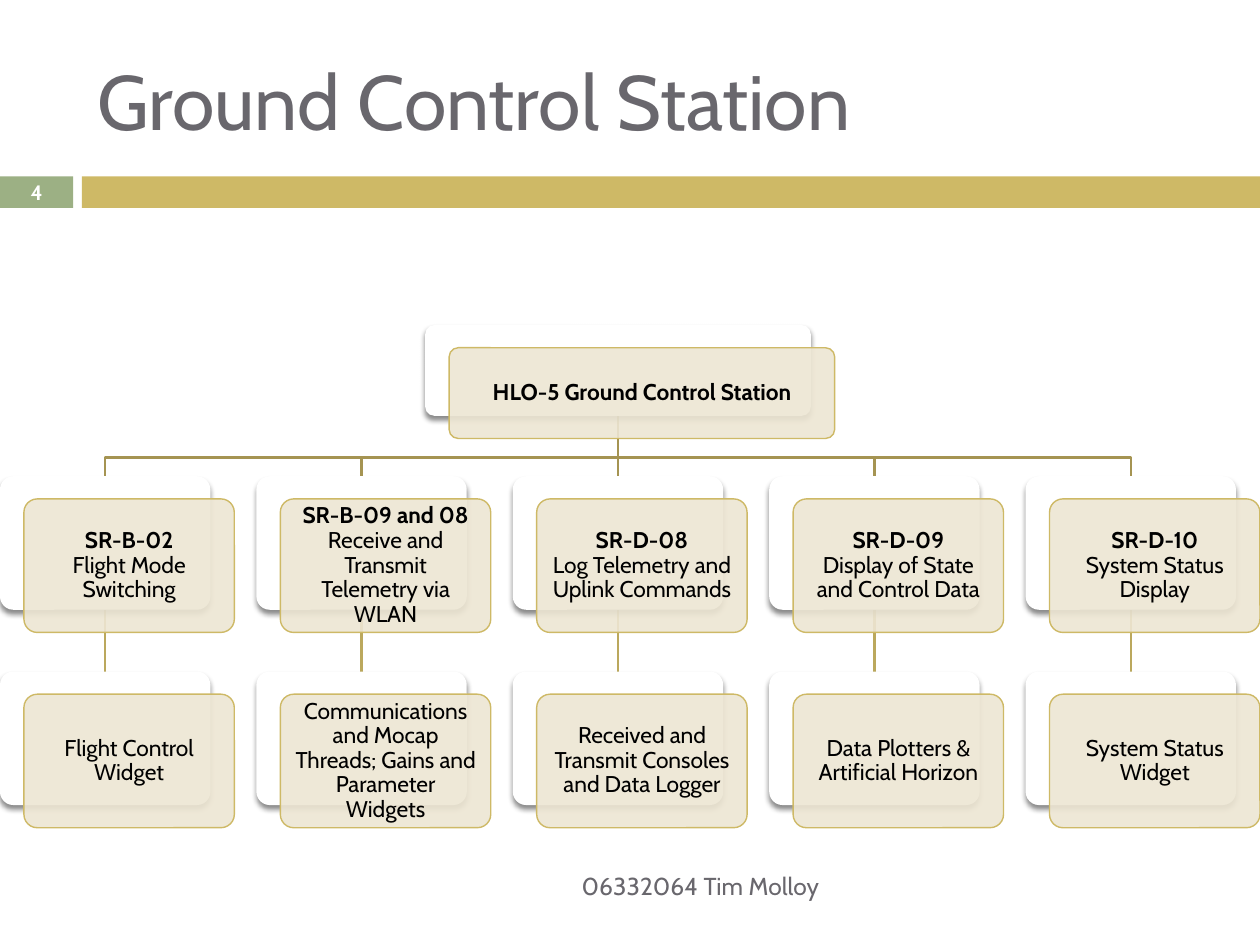
from lxml import etree
from pptx import Presentation
from pptx.dml.color import RGBColor
from pptx.enum.shapes import MSO_CONNECTOR, MSO_SHAPE
from pptx.enum.text import MSO_ANCHOR, PP_ALIGN
from pptx.oxml.ns import qn
from pptx.util import Inches, Pt

RECT, ROUND = MSO_SHAPE.RECTANGLE, MSO_SHAPE.ROUNDED_RECTANGLE
STRAIGHT = MSO_CONNECTOR.STRAIGHT
LEFT, CENTER, RIGHT = PP_ALIGN.LEFT, PP_ALIGN.CENTER, PP_ALIGN.RIGHT
MIDDLE = MSO_ANCHOR.MIDDLE

# Content
TITLE = "Ground Control Station"
PAGE = "4"
FOOTER = "06332064 Tim Molloy"
ROOT = "HLO-5 Ground Control Station"
BRANCHES = [  # requirement, description, component
    ("SR-B-02", "Flight Mode Switching", "Flight Control Widget"),
    ("SR-B-09 and 08", "Receive and Transmit Telemetry via WLAN",
     "Communications and Mocap Threads; Gains and Parameter Widgets"),
    ("SR-D-08", "Log Telemetry and Uplink Commands",
     "Received and Transmit Consoles and Data Logger"),
    ("SR-D-09", "Display of State and Control Data",
     "Data Plotters & Artificial Horizon"),
    ("SR-D-10", "System Status Display", "System Status Widget"),
]
FONT = "Cabin"
COLORS = {"green": "9CB084", "gold": "CEB966", "grey": "69676D",
          "white": "FFFFFF", "black": "000000", "cream": "EDE6D3",
          "upper": "A59452", "lower": "BBA85D"}

# Geometry in inches
SLIDE_W, SLIDE_H = 10, 7.5
CARD_W, CARD_H = 1.67, 1.06
ROOT_W, ROOT_H, ROOT_Y = 3.06, 0.72, 2.58
DX, DY = 0.19, 0.18  # front card offset from its backing
REQ_Y, COMP_Y, BUS_Y = 3.78, 5.33, 3.63
PITCH = (SLIDE_W - CARD_W - DX) / (len(BRANCHES) - 1)
ROOT_X = PITCH * (len(BRANCHES) - 1) / 2 + CARD_W / 2  # centre of the tree

prs = Presentation()
prs.slide_width, prs.slide_height = Inches(SLIDE_W), Inches(SLIDE_H)
s = prs.slides.add_slide(prs.slide_layouts[5])


def rgb(name):
    return RGBColor.from_string(COLORS[name])


def write(sp, *parts, size=13, color="black", align=CENTER, inset=None,
          spacing=1.0):
    """Write (text, bold) parts, one below the other, in one paragraph."""
    tf = sp.text_frame
    tf.word_wrap, tf.vertical_anchor = True, MIDDLE
    if inset is not None:
        tf.margin_left = tf.margin_right = Inches(inset)
        tf.margin_top = tf.margin_bottom = Inches(inset)
    p = tf.paragraphs[0]
    p.alignment, p.line_spacing = align, spacing
    for i, (text, bold) in enumerate(parts):
        if i:
            p.add_line_break()
        r = p.add_run()
        r.text = text
        r.font.name, r.font.size, r.font.bold = FONT, Pt(size), bold
        r.font.color.rgb = rgb(color)


def add_block(kind, x, y, w, h, fill, line=None):
    sp = s.shapes.add_shape(kind, Inches(x), Inches(y), Inches(w), Inches(h))
    sp.shadow.inherit = False
    sp.fill.solid()
    sp.fill.fore_color.rgb = rgb(fill)
    if kind == ROUND:
        sp.adjustments[0] = 0.1
    if line:
        sp.line.color.rgb, sp.line.width = rgb(line), Pt(0.79)
    else:
        sp.line.fill.background()
    return sp


def add_alpha(color_el, percent):
    etree.SubElement(color_el, qn("a:alpha"), val=str(percent * 1000))


def add_card(x, y, w, h, *parts):
    """White backing with a shadow, and a translucent card in front."""
    back = add_block(ROUND, x, y, w, h, "white")
    effects = back._element.spPr.find(qn("a:effectLst"))
    shadow = etree.SubElement(effects, qn("a:outerShdw"), blurRad=str(Pt(3)),
                              dist=str(Pt(2.4)), dir="5400000", rotWithShape="0")
    add_alpha(etree.SubElement(shadow, qn("a:srgbClr"), val=COLORS["black"]), 45)

    front = add_block(ROUND, x + DX, y + DY, w, h, "cream", "gold")
    add_alpha(front._element.spPr.find(qn("a:solidFill"))[0], 90)
    write(front, *parts, inset=0.08, spacing=0.9)


def add_line(x, y1, y2, color):
    c = s.shapes.add_connector(STRAIGHT, Inches(x), Inches(y1),
                               Inches(x), Inches(y2))
    c.line.color.rgb, c.line.width = rgb(color), Pt(1.5)
    etree.SubElement(c._element.spPr, qn("a:effectLst"))


def add_elbow(x):
    """Line from the root card along the bus to a branch at x."""
    fb = s.shapes.build_freeform(Inches(ROOT_X), Inches(ROOT_Y + ROOT_H))
    fb.add_line_segments([(Inches(px), Inches(py)) for px, py in
                          ((ROOT_X, BUS_Y), (x, BUS_Y), (x, REQ_Y))],
                         close=False)
    sp = fb.convert_to_shape()
    sp.shadow.inherit = False
    sp.fill.background()
    sp.line.color.rgb, sp.line.width = rgb("upper"), Pt(1.5)


def add_label(x, y, w, h, text, bold=False, **fmt):
    tb = s.shapes.add_textbox(Inches(x), Inches(y), Inches(w), Inches(h))
    write(tb, (text, bold), **fmt)


# Header bars, page number and title
add_block(RECT, 0, 1.4, 0.58, 0.25, "green")
add_block(RECT, 0.65, 1.4, 9.35, 0.25, "gold")
add_label(0, 1.39, 0.58, 0.27, PAGE, bold=True, size=11.9, color="white")
title = s.shapes.title
title.left, title.top = Inches(0.67), Inches(0.25)
title.width, title.height = Inches(8.92), Inches(1.08)
write(title, (TITLE, False), size=44, color="grey", align=LEFT)

# Tree lines, behind the cards
for i in range(len(BRANCHES)):
    x = i * PITCH + CARD_W / 2
    add_line(x, REQ_Y + CARD_H, COMP_Y, "lower")
    if abs(x - ROOT_X) < 0.01:
        add_line(x, ROOT_Y + ROOT_H, REQ_Y, "upper")
    else:
        add_elbow(x)

# Cards
add_card(ROOT_X - ROOT_W / 2, ROOT_Y, ROOT_W, ROOT_H, (ROOT, True))
for i, (code, need, component) in enumerate(BRANCHES):
    add_card(i * PITCH, REQ_Y, CARD_W, CARD_H, (code, True), (need, False))
    add_card(i * PITCH, COMP_Y, CARD_W, CARD_H, (component, False))

# Footer
add_label(0.67, 6.83, 5.93, 0.4, FOOTER, size=14, color="grey", align=RIGHT)

prs.save("out.pptx")
